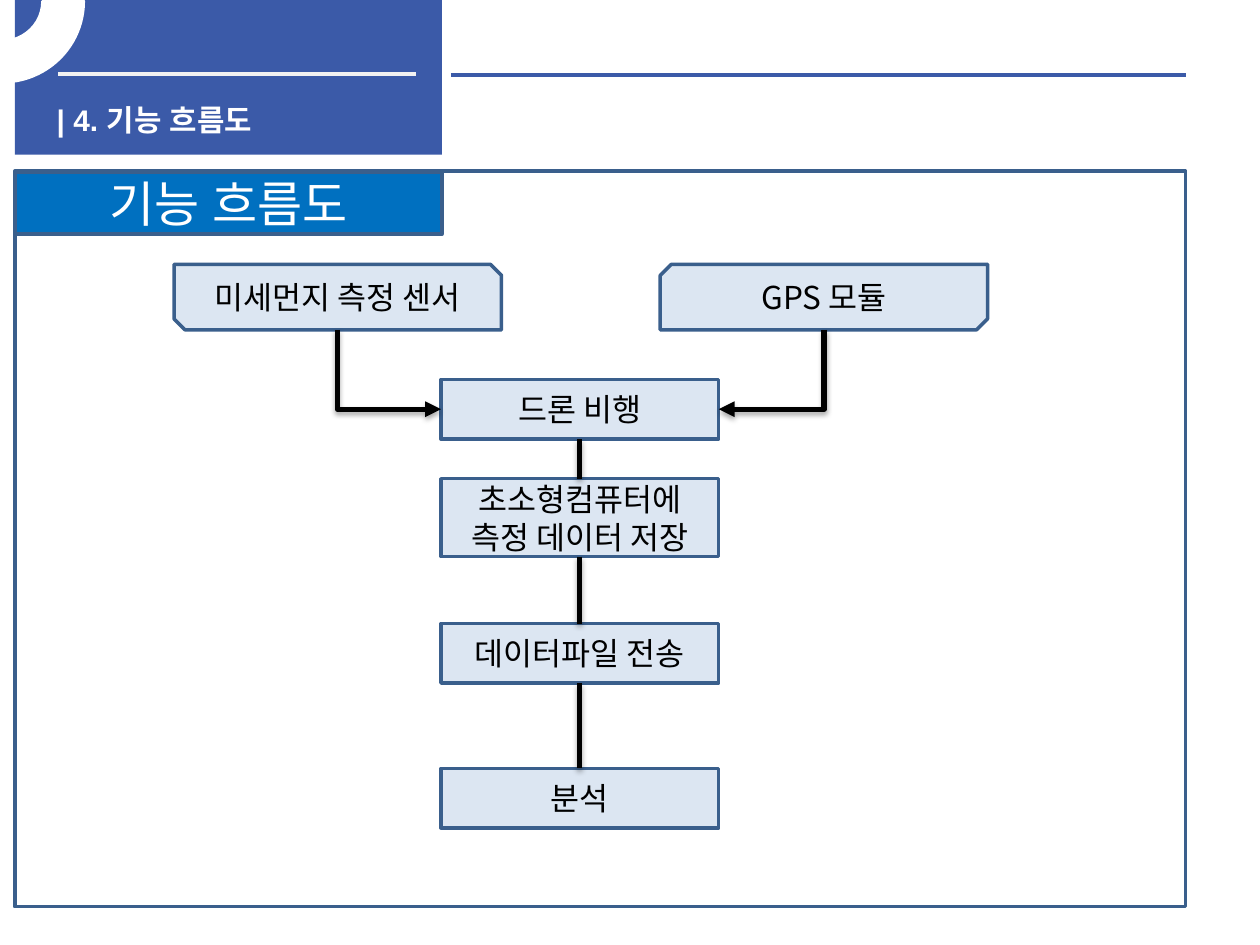
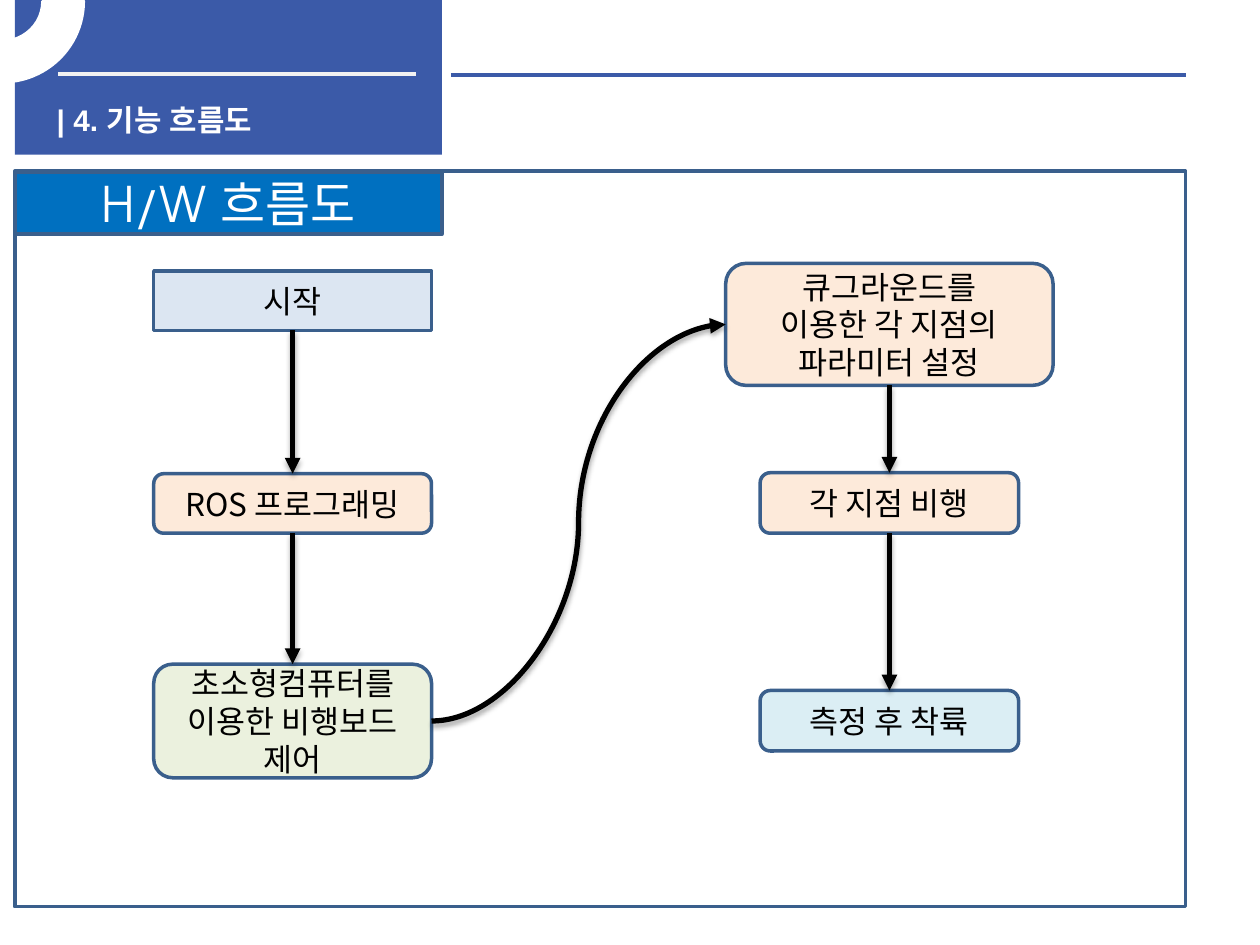
from itertools import pairwise

from pptx import Presentation
from pptx.dml.color import RGBColor
from pptx.enum.shapes import MSO_CONNECTOR, MSO_SHAPE
from pptx.enum.text import MSO_ANCHOR, MSO_AUTO_SIZE, PP_ALIGN
from pptx.oxml import parse_xml
from pptx.oxml.ns import nsdecls, qn
from pptx.oxml.xmlchemy import OxmlElement
from pptx.util import Cm, Pt

BAND_BLUE = RGBColor(0x3B, 0x5A, 0xA8)
LABEL_BLUE = RGBColor(0x00, 0x70, 0xC0)
OUTLINE = RGBColor(0x3A, 0x5F, 0x8C)
PALE_GRAY = RGBColor(0xF2, 0xF2, 0xF2)
PALE_BLUE = RGBColor(0xDC, 0xE6, 0xF2)
PALE_ORANGE = RGBColor(0xFD, 0xEA, 0xDA)
PALE_GREEN = RGBColor(0xEB, 0xF1, 0xDE)
PALE_AQUA = RGBColor(0xDB, 0xEE, 0xF4)
WHITE = RGBColor(0xFF, 0xFF, 0xFF)
BLACK = RGBColor(0x00, 0x00, 0x00)

TITLE_FONT = "Arial"
LABEL_FONT = "TeX Gyre Adventor"
NODE_FONT = "Noto Sans CJK KR"
TOP, LEFT, BOTTOM, RIGHT = range(4)

SHADOW = (
    f'<a:effectLst {nsdecls("a")}>'
    '<a:outerShdw blurRad="40000" dist="23000" dir="5400000" rotWithShape="0">'
    '<a:srgbClr val="000000"><a:alpha val="35000"/></a:srgbClr>'
    "</a:outerShdw></a:effectLst>"
)


class FlowDeck:
    """Holds the presentation style and the slide being drawn."""

    def __init__(self):
        self.presentation = Presentation()
        self.presentation.slide_width = Cm(25.4)
        self.presentation.slide_height = Cm(19.05)
        self.slide = None

    def new_slide(self, title, label):
        layout = self.presentation.slide_layouts[5]
        self.slide = self.presentation.slides.add_slide(layout)

        # Header band with its ring and rules
        self.box(MSO_SHAPE.RECTANGLE, 0.3, 0, 8.61, 3.12, BAND_BLUE, None)
        self.rule(1.17, 8.38, 1.5, PALE_GRAY)
        self.rule(9.09, 23.9, 1.52, BAND_BLUE)
        self.title(title)
        ring = self.box(MSO_SHAPE.BLOCK_ARC, -1.6, -1.6, 3.28, 3.25, WHITE, WHITE)
        for index, value in enumerate((0, 54, 0.25)):
            ring.adjustments[index] = value

        # Content frame and its label
        self.box(MSO_SHAPE.RECTANGLE, 0.3, 3.45, 23.6, 14.83, WHITE)
        tab = self.box(MSO_SHAPE.RECTANGLE, 0.3, 3.48, 8.61, 1.24, LABEL_BLUE)
        self.set_text(tab, label, LABEL_FONT, 28, WHITE)

    def set_text(self, shape, text, font_name, size, color, bold=False,
                 align=PP_ALIGN.CENTER, anchor=MSO_ANCHOR.MIDDLE):
        frame = shape.text_frame
        frame.text = text
        frame.word_wrap = True
        frame.auto_size = MSO_AUTO_SIZE.NONE
        frame.vertical_anchor = anchor
        for paragraph in frame.paragraphs:
            paragraph.alignment = align
            for run in paragraph.runs:
                run.font.name = font_name
                run.font.size = Pt(size)
                run.font.bold = bold
                run.font.color.rgb = color
                east_asian = OxmlElement("a:ea")
                east_asian.set("typeface", font_name)
                run.font._element.find(qn("a:latin")).addnext(east_asian)

    def title(self, text):
        title = self.slide.shapes.title
        title.left, title.top = Cm(0.89), Cm(1.93)
        title.width, title.height = Cm(7.8), Cm(0.81)
        self.set_text(title, text, TITLE_FONT, 17, WHITE, bold=True,
                      align=PP_ALIGN.LEFT, anchor=MSO_ANCHOR.TOP)
        # Bring the title in front of the band
        self.slide.shapes._spTree.append(title._element)

    def box(self, kind, left, top, width, height, fill, line=OUTLINE):
        shape = self.slide.shapes.add_shape(
            kind, Cm(left), Cm(top), Cm(width), Cm(height))
        shape.shadow.inherit = False
        shape.fill.solid()
        shape.fill.fore_color.rgb = fill
        if line is None:
            shape.line.fill.background()
        else:
            shape.line.color.rgb = line
            shape.line.width = Pt(2)
        return shape

    def node(self, text, center, top, width=5.6, height=1.2,
             fill=PALE_BLUE, kind=MSO_SHAPE.RECTANGLE):
        shape = self.box(kind, center - width / 2, top, width, height, fill)
        self.set_text(shape, text, NODE_FONT, 18, BLACK)
        return shape

    def rule(self, start, end, y, color):
        line = self.slide.shapes.add_connector(
            MSO_CONNECTOR.STRAIGHT, Cm(start), Cm(y), Cm(end), Cm(y))
        line.line.color.rgb = color
        line.line.width = Pt(2.25)
        line._element.spPr.append(OxmlElement("a:effectLst"))

    def style_flow(self, connector, arrow):
        connector.line.color.rgb = BLACK
        connector.line.width = Pt(3)
        if arrow:
            tail = OxmlElement("a:tailEnd")
            tail.set("type", "triangle")
            connector.line._get_or_add_ln().append(tail)
        connector._element.spPr.append(parse_xml(SHADOW))

    def link(self, source, target, sides=(BOTTOM, TOP), arrow=True,
             kind=MSO_CONNECTOR.STRAIGHT):
        connector = self.slide.shapes.add_connector(kind, 0, 0, 0, 0)
        connector.begin_connect(source, sides[0])
        connector.end_connect(target, sides[1])
        self.style_flow(connector, arrow)

    def chain(self, nodes, arrow=True):
        for source, target in pairwise(nodes):
            self.link(source, target, arrow=arrow)

    def elbow(self, source, target):
        """Run down from the source, then sideways into the target."""
        start_x = source.left + source.width // 2
        start_y = source.top + source.height
        rightward = start_x < target.left
        end_x = target.left if rightward else target.left + target.width
        end_y = target.top + target.height // 2
        middle_x, middle_y = (start_x + end_x) // 2, (start_y + end_y) // 2
        # The quarter turn swaps the width and the height
        half_width, half_height = (end_y - start_y) // 2, abs(end_x - start_x) // 2
        connector = self.slide.shapes.add_connector(
            MSO_CONNECTOR.ELBOW,
            middle_x - half_width, middle_y - half_height,
            middle_x + half_width, middle_y + half_height)
        properties = connector._element.spPr
        properties.find(qn("a:prstGeom")).set("prst", "bentConnector2")
        transform = properties.find(qn("a:xfrm"))
        transform.set("rot", str((270 if rightward else 90) * 60000))
        if rightward:
            transform.set("flipH", "1")
        self.style_flow(connector, arrow=True)


def function_flow(deck):
    deck.new_slide("| 4. 기능 흐름도", "기능 흐름도")

    # Inputs, with mirrored snipped corners
    snipped = MSO_SHAPE.SNIP_2_DIAG_RECTANGLE
    sensor = deck.node("미세먼지 측정 센서", 6.81, 5.33, 6.6, 1.32, kind=snipped)
    gps = deck.node("GPS 모듈", 16.61, 5.33, 6.6, 1.32, kind=snipped)
    gps.adjustments[0], gps.adjustments[1] = 0.17, 0

    # Processing steps
    steps = [deck.node(text, 11.69, top, height=height) for text, top, height in (
        ("드론 비행", 7.65, 1.2),
        ("초소형컴퓨터에 측정 데이터 저장", 9.65, 1.57),
        ("데이터파일 전송", 12.57, 1.2),
        ("분석", 15.49, 1.2),
    )]
    deck.elbow(sensor, steps[0])
    deck.elbow(gps, steps[0])
    deck.chain(steps, arrow=False)


def hardware_flow(deck):
    deck.new_slide("| 4. 기능 흐름도", "H/W 흐름도")
    rounded = MSO_SHAPE.ROUNDED_RECTANGLE

    # Preparation column
    preparation = [
        deck.node("시작", 5.9, 5.46),
        deck.node("ROS 프로그래밍", 5.9, 9.55, fill=PALE_ORANGE, kind=rounded),
        deck.node("초소형컴퓨터를 이용한 비행보드 제어", 5.9, 13.39, height=2.29,
                  fill=PALE_GREEN, kind=rounded),
    ]

    # Flight column
    flight = [deck.node(text, 17.93, top, width, height, fill, rounded)
              for text, top, width, height, fill in (
        ("큐그라운드를\n이용한 각 지점의\n파라미터 설정", 5.31, 6.6, 2.46, PALE_ORANGE),
        ("각 지점 비행", 9.53, 5.21, 1.22, PALE_ORANGE),
        ("측정 후 착륙", 13.92, 5.21, 1.22, PALE_AQUA),
    )]
    deck.chain(preparation)
    deck.link(preparation[-1], flight[0], (RIGHT, LEFT), kind=MSO_CONNECTOR.CURVE)
    deck.chain(flight)


def main():
    deck = FlowDeck()
    function_flow(deck)
    hardware_flow(deck)
    deck.presentation.save("out.pptx")


if __name__ == "__main__":
    main()
